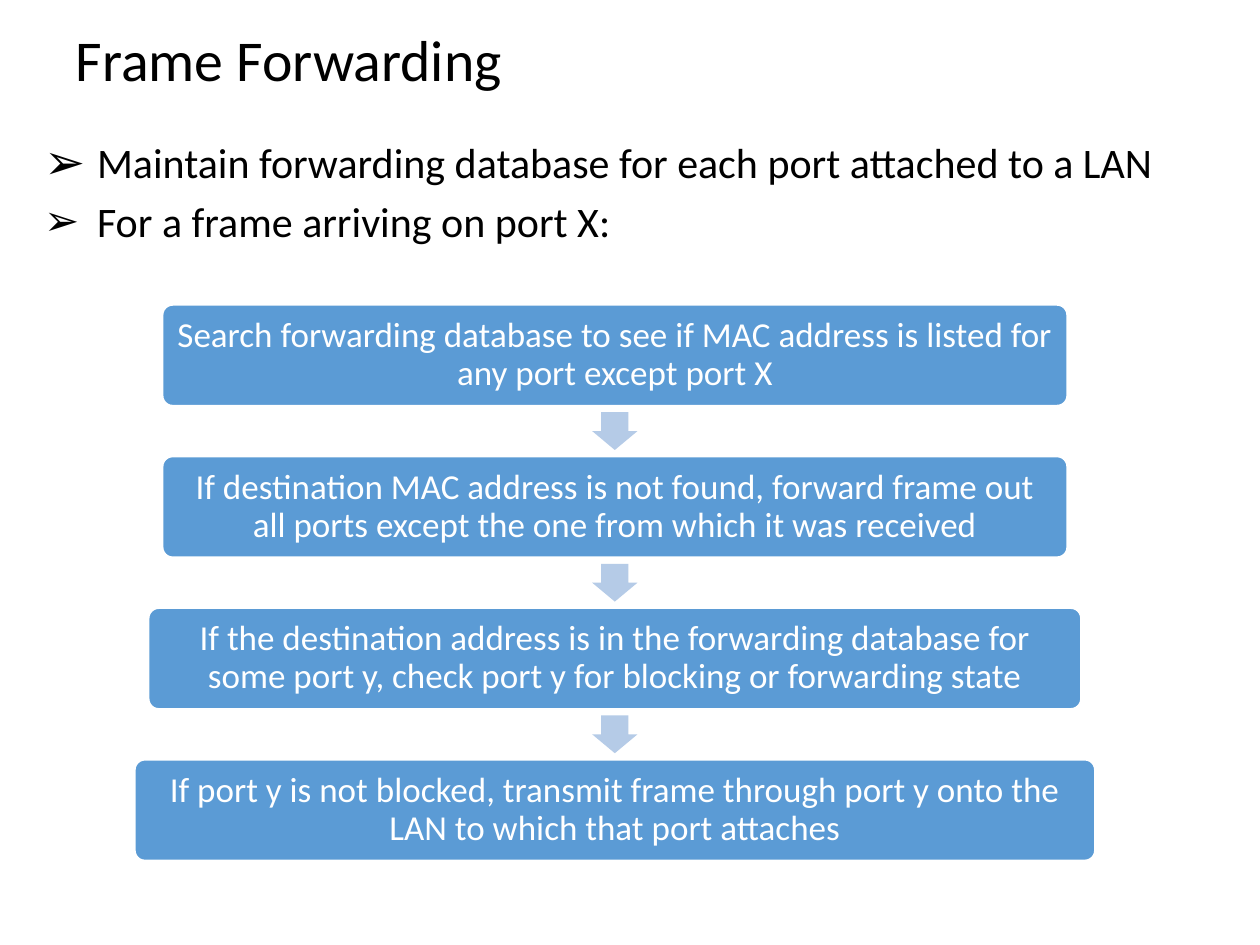
from lxml.etree import SubElement
from pptx import Presentation
from pptx.dml.color import RGBColor
from pptx.enum.shapes import MSO_SHAPE as Preset
from pptx.enum.text import MSO_ANCHOR as Anchor, MSO_AUTO_SIZE as AutoSize, PP_ALIGN as Align
from pptx.oxml.ns import qn
from pptx.util import Inches, Pt

TITLE = "Frame Forwarding"
BULLETS = [
    ("Maintain forwarding database for each port attached to a LAN", 117),
    ("For a frame arriving on port X:", 100),
]
STEPS = [
    ("Search forwarding database to see if MAC address is listed for any port except port X", 7.18),
    ("If destination MAC address is not found, forward frame out all ports except the one "
     "from which it was received", 7.18),
    ("If the destination address is in the forwarding database for some port y, "
     "check port y for blocking or forwarding state", 7.4),
    ("If port y is not blocked, transmit frame through port y onto the LAN "
     "to which that port attaches", 7.62),
]
CENTER, FIRST_TOP, LAST_TOP, BOX_HEIGHT = 4.88, 2.42, 6.03, 0.8
ARROW_WIDTH, ARROW_HEIGHT = 0.36, 0.3
BLACK, WHITE, BLUE, PALE_BLUE = "000000", "FFFFFF", "5B9BD5", "B5CBE7"


def color(hex_value):
    return RGBColor.from_string(hex_value)


def place(shape, left, top, width, height):
    shape.left, shape.top = Inches(left), Inches(top)
    shape.width, shape.height = Inches(width), Inches(height)


def write(paragraph, text, *, size, ink=BLACK, align=Align.LEFT, before=0):
    run = paragraph.add_run()
    run.text = text
    run.font.name, run.font.size = "Calibri", Pt(size)
    run.font.color.rgb = color(ink)
    paragraph.alignment = align
    paragraph.line_spacing = 0.9
    paragraph.space_before = Pt(before)


def add_bullet(paragraph, percent, indent=0.42):
    properties = paragraph._p.get_or_add_pPr()
    properties.set("marL", str(Inches(indent)))
    properties.set("indent", str(-Inches(indent)))
    SubElement(properties, qn("a:buSzPct"), val=str(percent * 1000))
    SubElement(properties, qn("a:buFont"), typeface="Arial")
    SubElement(properties, qn("a:buChar"), char="➢")


def add_shape(slide, preset, top, width, height, fill, adjustments):
    shape = slide.shapes.add_shape(preset, Inches(CENTER - width / 2), Inches(top),
                                   Inches(width), Inches(height))
    shape.shadow.inherit = False
    shape.fill.solid()
    shape.fill.fore_color.rgb = color(fill)
    shape.line.fill.background()
    for index, value in enumerate(adjustments):
        shape.adjustments[index] = value
    return shape


def add_step(slide, text, top, width):
    box = add_shape(slide, Preset.ROUNDED_RECTANGLE, top, width, BOX_HEIGHT, BLUE, [0.1])
    box.line.color.rgb = color(WHITE)
    box.line.width = Pt(1)
    frame = box.text_frame
    frame.word_wrap, frame.vertical_anchor = True, Anchor.MIDDLE
    frame.margin_left = frame.margin_right = Inches(0.08)
    frame.margin_top = frame.margin_bottom = Inches(0.08)
    write(frame.paragraphs[0], text, size=20, ink=WHITE, align=Align.CENTER)


def main():
    """Build the frame forwarding slide."""
    presentation = Presentation()
    presentation.slide_width, presentation.slide_height = Inches(10), Inches(7.5)
    slide = presentation.slides.add_slide(presentation.slide_layouts[1])
    title, body = slide.placeholders

    place(title, 0.5, 0, 9, 1)
    title.text_frame.vertical_anchor = Anchor.MIDDLE
    title.text_frame.auto_size = AutoSize.NONE
    write(title.text_frame.paragraphs[0], TITLE, size=33)

    place(body, 0.25, 1.08, 9.42, 1.83)
    frame = body.text_frame
    frame.auto_size = AutoSize.NONE
    for index, (text, percent) in enumerate(BULLETS):
        paragraph = frame.add_paragraph() if index else frame.paragraphs[0]
        write(paragraph, text, size=24, before=7.5)
        add_bullet(paragraph, percent)

    pitch = (LAST_TOP - FIRST_TOP) / (len(STEPS) - 1)
    for index, (text, width) in enumerate(STEPS):
        top = FIRST_TOP + index * pitch
        if index:
            arrow_top = top - (pitch - BOX_HEIGHT + ARROW_HEIGHT) / 2
            add_shape(slide, Preset.DOWN_ARROW, arrow_top, ARROW_WIDTH, ARROW_HEIGHT,
                      PALE_BLUE, [0.6, 0.5])
        add_step(slide, text, top, width)

    presentation.save("out.pptx")


if __name__ == "__main__":
    main()
